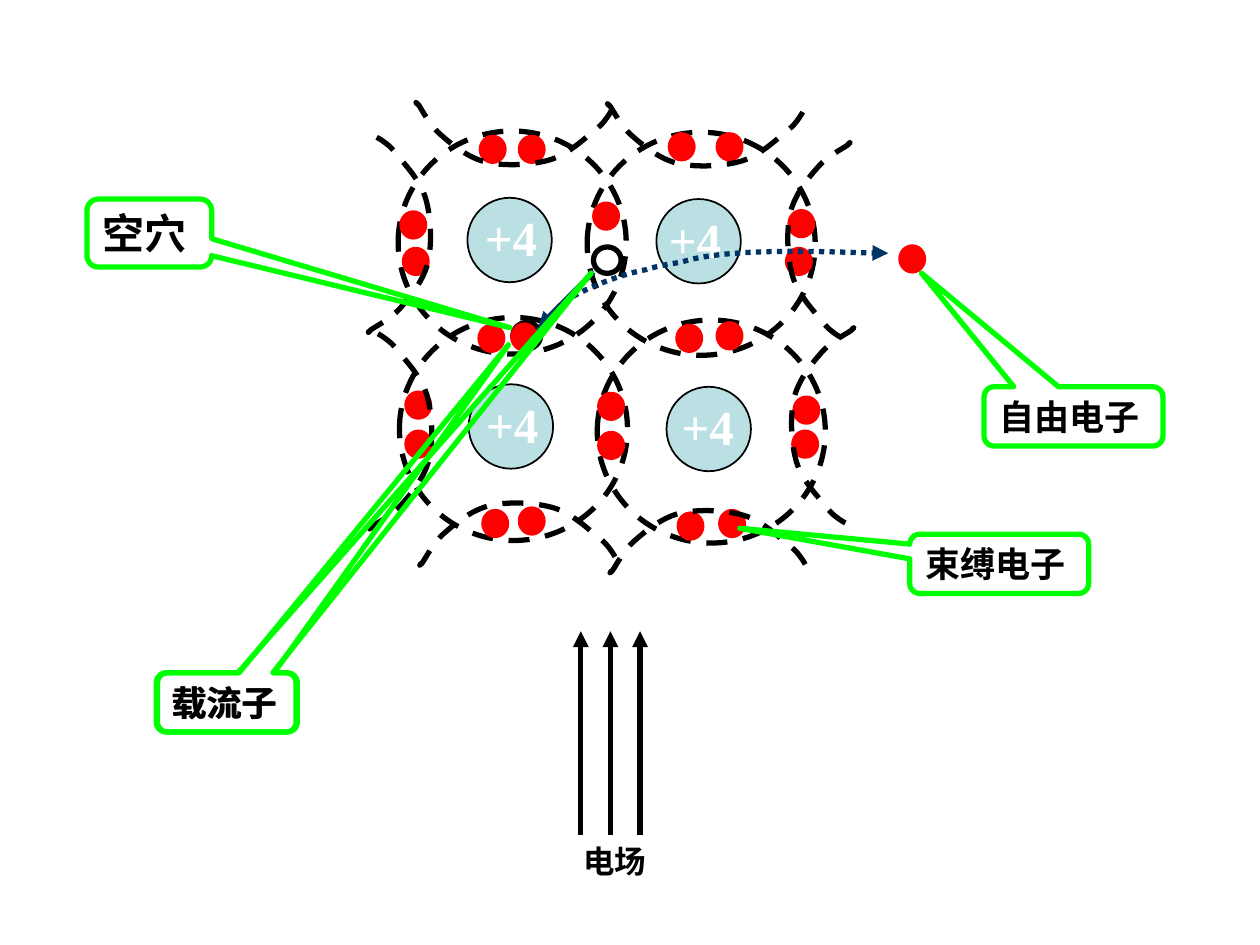
from lxml.etree import SubElement
from pptx import Presentation
from pptx.dml.color import RGBColor
from pptx.enum.dml import MSO_LINE
from pptx.enum.shapes import MSO_CONNECTOR, MSO_SHAPE
from pptx.enum.text import MSO_ANCHOR, PP_ALIGN
from pptx.oxml.ns import qn
from pptx.util import Inches, Pt

COLORS = {
    "ink": "000000", "paper": "FFFFFF", "electron": "FF0000",
    "nucleus": "BBE0E3", "callout": "00FF00", "motion": "003366",
}
# The slide is a grid of 100 columns by 75 rows of square cells
CELL = Inches(10) // 100
ELECTRON = (1.8, 1.9)
HOLE = (2.2, 2.1)
NUCLEUS = 6.7
ORBIT = (18.1, 17.7)
ARC_DEPTH, ARC_LENGTH = 5.6, 16.3

# Outline of a neighbour's orbit: (depth, distance along the edge)
ARC = [
    (4.9, 0.4), (4.9, 0.3), (5.3, 0), (4.9, 0.4), (4.5, 0.7), (3.2, 1.3), (2.4, 2.3),
    (1.6, 3.2), (0.6, 4.5), (0.3, 5.9), (0, 7.4), (0.1, 9.4), (0.5, 10.8),
    (0.9, 12.2), (2.1, 13.5), (2.7, 14.2), (3.3, 15), (3.5, 15.1), (3.9, 15.4),
    (4.3, 15.7), (5, 16), (5.3, 16.2),
]
ARC_TURNS = {
    "right": lambda depth, along: (depth, along),
    "left": lambda depth, along: (ARC_DEPTH - depth, ARC_LENGTH - along),
    "top": lambda depth, along: (along, ARC_DEPTH - depth),
    "bottom": lambda depth, along: (along, depth),
}
ARCS = [
    ("right", 33.7, 3.5), ("right", 34, 18.2), ("top", 4.1, 0), ("top", 19.3, 0.1),
    ("bottom", 4.4, 32.2), ("bottom", 19.5, 32.8), ("left", 0, 2.7), ("left", 0.1, 18.3),
]
# Orbit corner, and shift of the charge label from the nucleus
ATOMS = [(2.9, 2.8, 0.4), (17.9, 2.9, 0), (3, 17.6, 0.4), (18.7, 17.8, 0.2)]
BOUND_ELECTRONS = [
    (9.5, 3.3), (12.6, 3.3), (24.5, 3.1), (28.3, 3.1),      # top bonds
    (9.4, 18.3), (25.1, 18.3), (28.3, 18.1),                # middle bonds
    (9.7, 33), (12.6, 32.8), (25.2, 33.2), (28.5, 33),      # bottom bonds
    (3.2, 9.3), (3.4, 12.2), (3.6, 23.6), (3.6, 26.7),      # left bonds
    (18.5, 8.6), (18.9, 23.7), (18.9, 26.8),                # centre bonds
    (34, 9.2), (33.8, 12.2), (34.4, 24), (34.3, 26.7),      # right bonds
]
ESCAPE_PATH = [
    (1.9, 6.8), (2.5, 5.8), (1.6, 7), (3, 5.7), (3.3, 5.3), (3.6, 4.7), (4, 4.4),
    (5.5, 3.4), (8.4, 2.2), (10.6, 1.8), (11.5, 1.5), (12.3, 1.4), (13.4, 1.2),
    (17.2, 0), (27.5, 0.5), (29.8, 0.5),
]


def emu(*cells):
    return [round(value * CELL) for value in cells]


def color(name):
    return RGBColor.from_string(COLORS[name])


def style_line(shape, name, width=3, dash=None, arrow=False):
    shape.line.color.rgb = color(name)
    shape.line.width = Pt(width)
    if dash:
        shape.line.dash_style = dash
    if arrow:
        SubElement(shape.line._get_or_add_ln(), qn("a:tailEnd"), type="triangle")


def add_outline(page, kind, box, fill, line, width=3, dash=None):
    shape = page.shapes.add_shape(kind, *emu(*box))
    shape.shadow.inherit = False
    if fill:
        shape.fill.solid()
        shape.fill.fore_color.rgb = color(fill)
    else:
        shape.fill.background()
    style_line(shape, line, width, dash)
    return shape


def add_ellipse(page, box, fill, line="ink", width=3, dash=None):
    return add_outline(page, MSO_SHAPE.OVAL, box, fill, line, width, dash)


def add_electron(page, left, top):
    add_ellipse(page, (left, top, *ELECTRON), "electron", "electron")


def add_hole(page, left, top):
    add_ellipse(page, (left, top, *HOLE), "paper")


def add_curve(page, points, name, dash, arrow=False):
    start, *others = [emu(*point) for point in points]
    builder = page.shapes.build_freeform(*start)
    builder.add_line_segments(others, close=False)
    curve = builder.convert_to_shape()
    curve.shadow.inherit = False
    curve.fill.background()
    style_line(curve, name, 3, dash, arrow)
    # Join each three straight steps into one Bezier step
    steps = curve._element.findall(".//" + qn("a:lnTo"))
    for first, second, third in zip(steps[::3], steps[1::3], steps[2::3]):
        first.tag = qn("a:cubicBezTo")
        for step in (second, third):
            first.append(step[0])
            step.getparent().remove(step)


def add_arrow(page, start, end, name):
    arrow = page.shapes.add_connector(MSO_CONNECTOR.STRAIGHT, *emu(*start, *end))
    style_line(arrow, name, arrow=True)
    SubElement(arrow._element.spPr, qn("a:effectLst"))


def write(shape, text, size, font="Times New Roman", name="ink", wrap=False):
    frame = shape.text_frame
    frame.text = text
    frame.word_wrap = wrap
    para = frame.paragraphs[0]
    para.alignment = PP_ALIGN.LEFT
    span = para.runs[0].font
    span.name, span.size, span.bold = font, Pt(size), True
    span.color.rgb = color(name)


def add_label(page, box, *text, **style):
    write(page.shapes.add_textbox(*emu(*box)), *text, **style)


def add_callout(page, box, tip, text, size=20, wrap=False):
    callout = add_outline(page, MSO_SHAPE.ROUNDED_RECTANGULAR_CALLOUT, box, None, "callout")
    for index, value in enumerate((*tip, 0.17)):
        callout.adjustments[index] = value
    write(callout, text, size, wrap=wrap)
    callout.text_frame.vertical_anchor = MSO_ANCHOR.MIDDLE


def add_lattice(page, left, top):
    # Atoms with their orbits
    for x, y, shift in ATOMS:
        core_left, core_top = left + x + 5.5, top + y + 5.3
        add_ellipse(page, (core_left, core_top, NUCLEUS, NUCLEUS), "nucleus", width=1)
        add_label(page, (core_left + shift, core_top + 0.3, 7.7, 5.7), "+4", 28,
                  name="paper", wrap=True)
        add_ellipse(page, (left + x, top + y, *ORBIT), None, dash=MSO_LINE.DASH)
    # Electrons held in bonds
    for x, y in BOUND_ELECTRONS:
        add_electron(page, left + x, top + y)
    # Orbits of the neighbouring atoms
    for side, x, y in ARCS:
        turned = [ARC_TURNS[side](*point) for point in ARC]
        add_curve(page, [(left + x + u, top + y + v) for u, v in turned],
                  "ink", MSO_LINE.DASH)


def add_escape(page, left, top):
    add_hole(page, left, top + 6)
    add_electron(page, left + 30.8, top)
    add_curve(page, [(left + x, top + y) for x, y in ESCAPE_PATH],
              "motion", MSO_LINE.ROUND_DOT, arrow=True)


def add_hole_move(page, left, top):
    add_electron(page, left, top + 6.2)
    add_hole(page, left + 6.4, top)
    add_arrow(page, (left + 6.4, top + 2), (left + 2, top + 6.4), "motion")


def add_field(page, left, top, width, height):
    for column in range(3):
        x = left + 0.8 + column * 2.35
        add_arrow(page, (x, top + height - 4), (x, top), "ink")
    add_label(page, (left, top + height - 4, width, 4), "电场", 18, font="Arial")


def main():
    deck = Presentation()
    deck.slide_width, deck.slide_height = emu(100, 75)
    page = deck.slides.add_slide(deck.slide_layouts[6])
    add_lattice(page, 28.7, 7.6)
    add_callout(page, (78.1, 30.7, 14.2, 4.7), (-0.85, -2.42), "自由电子")
    add_callout(page, (72.2, 42.4, 14.2, 4.7), (-1.45, -0.6), "束缚电子")
    add_escape(page, 40.7, 19.6)
    add_callout(page, (6.9, 15.8, 9.9, 5.4), (2.89, 1.39), "空穴", 24, wrap=True)
    add_hole_move(page, 40.7, 19.6)
    add_field(page, 45.3, 50.1, 7, 20.2)
    # The carrier callout points at both the electron and the hole
    for left, tip in ((12.5, (2.01, -6.04)), (12.4, (2.61, -7.25))):
        add_callout(page, (left, 53.4, 11.1, 4.7), tip, "载流子")
    deck.save("out.pptx")


if __name__ == "__main__":
    main()
